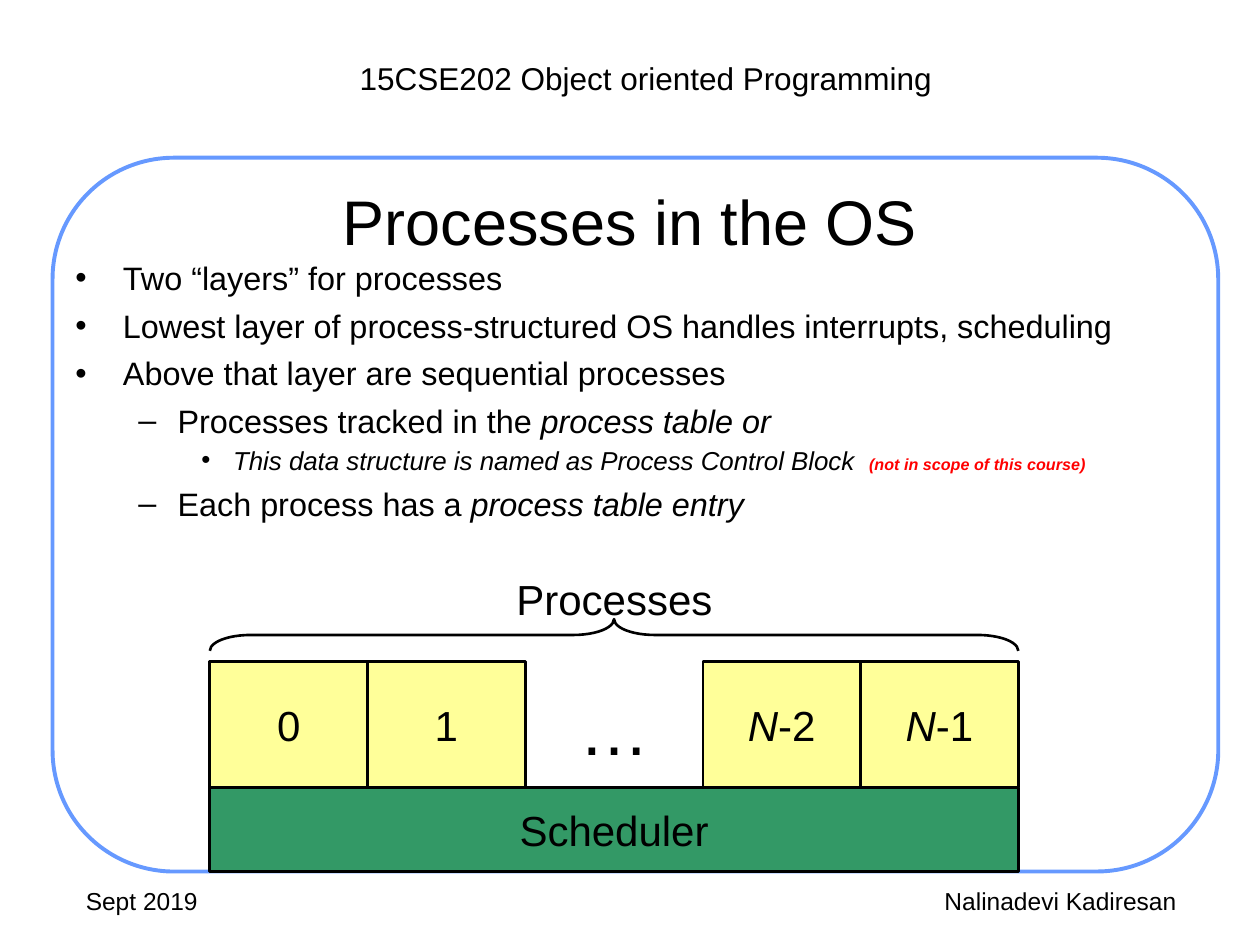
from dataclasses import dataclass
from typing import Optional

from lxml.etree import SubElement
from pptx import Presentation
from pptx.dml.color import RGBColor
from pptx.enum.shapes import MSO_SHAPE as SHAPE
from pptx.enum.text import MSO_ANCHOR as ANCHOR, MSO_AUTO_SIZE as AUTO_SIZE, PP_ALIGN as ALIGN
from pptx.oxml.ns import qn
from pptx.util import Cm, Pt

BLACK = RGBColor(0x00, 0x00, 0x00)
WHITE = RGBColor(0xFF, 0xFF, 0xFF)
RED = RGBColor(0xFF, 0x00, 0x00)
BLUE = RGBColor(0x66, 0x99, 0xFF)
GREEN = RGBColor(0x33, 0x99, 0x66)
YELLOW = RGBColor(0xFF, 0xFF, 0x99)
FONT = "Arial"

STACK_X, STACK_W = 4.23, 16.3
CELL_Y, CELL_W, CELL_H = 13.33, 3.18, 2.54
BRACE_H, BRACE_MID_Y = 0.64, 12.8


@dataclass(frozen=True)
class Run:
    text: str
    size: float
    italic: bool = False
    bold: bool = False
    color: RGBColor = BLACK


@dataclass(frozen=True)
class Box:
    x: float
    y: float
    w: float
    h: float


@dataclass(frozen=True)
class Label:
    box: Box
    run: Run
    align: ALIGN = ALIGN.LEFT
    anchor: ANCHOR = ANCHOR.TOP
    wrap: bool = True


@dataclass(frozen=True)
class Level:
    bullet: str
    margin: float
    hanging: float
    space: float


@dataclass(frozen=True)
class Item:
    level: int
    runs: tuple[Run, ...]


LEVELS = (
    Level("•", 0.96, 0.96, 5),
    Level("–", 2.06, 0.79, 5),
    Level("•", 3.18, 0.64, 2.5),
)

ITEMS = (
    Item(0, (Run("Two “layers” for processes", 18.5),)),
    Item(0, (Run("Lowest layer of process-structured OS handles interrupts, scheduling", 18.5),)),
    Item(0, (Run("Above that layer are sequential processes", 18.5),)),
    Item(1, (Run("Processes tracked in the ", 18.5), Run("process table or", 18.5, True))),
    Item(2, (Run("This data structure is named as Process Control Block  ", 14.8, True),
             Run("(not in scope of this course)", 9.2, True, True, RED))),
    Item(1, (Run("Each process has a ", 18.5), Run("process table entry", 18.5, True))),
)

LABELS = (
    Label(Box(3.6, 1.06, 18.84, 1.02), Run("15CSE202 Object oriented Programming", 18), ALIGN.CENTER),
    Label(Box(1.9, 3.6, 21.6, 1.7), Run("Processes in the OS", 36), ALIGN.CENTER, ANCHOR.MIDDLE),
    Label(Box(11.43, 13.7, 1.9, 1.95), Run("…", 40), wrap=False),
    Label(Box(10.16, 11.43, 4.6, 1.27), Run("Processes", 24), wrap=False),
    Label(Box(1.48, 17.73, 5.92, 1.32), Run("Sept 2019", 14)),
    Label(Box(17.36, 17.73, 8.04, 1.32), Run("Nalinadevi Kadiresan", 14), ALIGN.CENTER),
)

CELLS = (
    (0, (Run("0", 24),)),
    (CELL_W, (Run("1", 24),)),
    (STACK_W - 2 * CELL_W, (Run("N", 24, True), Run("-2", 24))),
    (STACK_W - CELL_W, (Run("N", 24, True), Run("-1", 24))),
)


def place(box: Box) -> tuple[Cm, Cm, Cm, Cm]:
    return Cm(box.x), Cm(box.y), Cm(box.w), Cm(box.h)


def write_runs(p, runs: tuple[Run, ...]) -> None:
    for run in runs:
        r = p.add_run()
        r.text = run.text
        r.font.name, r.font.size = FONT, Pt(run.size)
        r.font.italic, r.font.bold = run.italic, run.bold
        r.font.color.rgb = run.color


def add_label(s, label: Label) -> None:
    tf = s.shapes.add_textbox(*place(label.box)).text_frame
    tf.word_wrap, tf.vertical_anchor = label.wrap, label.anchor
    if not label.wrap:
        tf.auto_size = AUTO_SIZE.SHAPE_TO_FIT_TEXT
    tf.paragraphs[0].alignment = label.align
    write_runs(tf.paragraphs[0], (label.run,))


def add_figure(s, kind: SHAPE, box: Box, fill: Optional[RGBColor],
               line: RGBColor = BLACK, width: float = 1.5):
    sp = s.shapes.add_shape(kind, *place(box))
    sp.shadow.inherit = False
    if fill is None:
        sp.fill.background()
    else:
        sp.fill.solid()
        sp.fill.fore_color.rgb = fill
    sp.line.color.rgb, sp.line.width = line, Pt(width)
    return sp


def add_block(s, box: Box, fill: RGBColor, runs: tuple[Run, ...]) -> None:
    """Draw an outlined rectangle with centred text."""
    tf = add_figure(s, SHAPE.RECTANGLE, box, fill).text_frame
    tf.word_wrap, tf.vertical_anchor = False, ANCHOR.MIDDLE
    tf.paragraphs[0].alignment = ALIGN.CENTER
    write_runs(tf.paragraphs[0], runs)


def add_bullets(s, box: Box, items: tuple[Item, ...]) -> None:
    sp = s.shapes.add_textbox(*place(box))
    sp.fill.solid()
    sp.fill.fore_color.rgb = WHITE
    tf = sp.text_frame
    tf.word_wrap = True
    for i, item in enumerate(items):
        p = tf.add_paragraph() if i else tf.paragraphs[0]
        level = LEVELS[item.level]
        p.level = item.level
        if i:
            p.space_before = Pt(level.space)
        pPr = p._p.get_or_add_pPr()
        pPr.set("marL", str(Cm(level.margin)))
        pPr.set("indent", str(-Cm(level.hanging)))
        color = SubElement(pPr, qn("a:buClr"))
        SubElement(color, qn("a:srgbClr"), val=str(BLACK))
        SubElement(pPr, qn("a:buFont"), typeface=FONT)
        SubElement(pPr, qn("a:buChar"), char=level.bullet)
        write_runs(p, item.runs)


def add_brace(s) -> None:
    """Draw a brace spanning the process row, pointing up."""
    x = STACK_X + (STACK_W - BRACE_H) / 2
    y = BRACE_MID_Y - STACK_W / 2
    sp = add_figure(s, SHAPE.RIGHT_BRACE, Box(x, y, BRACE_H, STACK_W), None)
    sp.rotation = 270
    sp.adjustments[0] = 1.28


def main() -> None:
    prs = Presentation()
    prs.slide_width, prs.slide_height = Cm(25.4), Cm(19.05)
    s = prs.slides.add_slide(prs.slide_layouts[6])

    frame = add_figure(s, SHAPE.ROUNDED_RECTANGLE, Box(1.06, 3.18, 23.5, 14.39), WHITE, BLUE, 2.25)
    frame.adjustments[0] = 0.17
    add_bullets(s, Box(1.27, 5.08, 22.86, 5.61), ITEMS)
    add_block(s, Box(STACK_X, CELL_Y + CELL_H, STACK_W, 1.7), GREEN, (Run("Scheduler", 24),))
    for offset, runs in CELLS:
        add_block(s, Box(STACK_X + offset, CELL_Y, CELL_W, CELL_H), YELLOW, runs)
    add_brace(s)
    for label in LABELS:
        add_label(s, label)

    prs.save("out.pptx")


if __name__ == "__main__":
    main()
